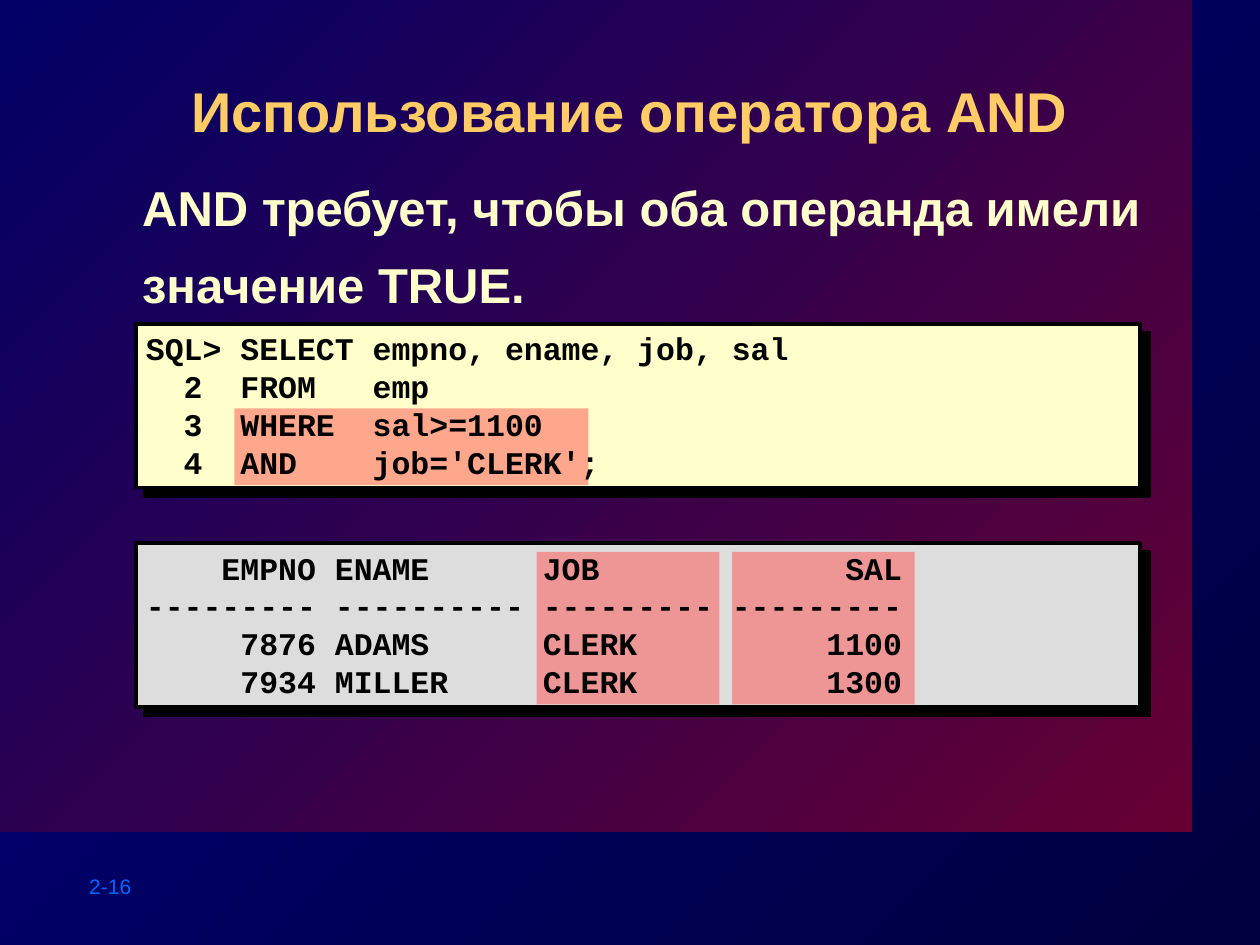
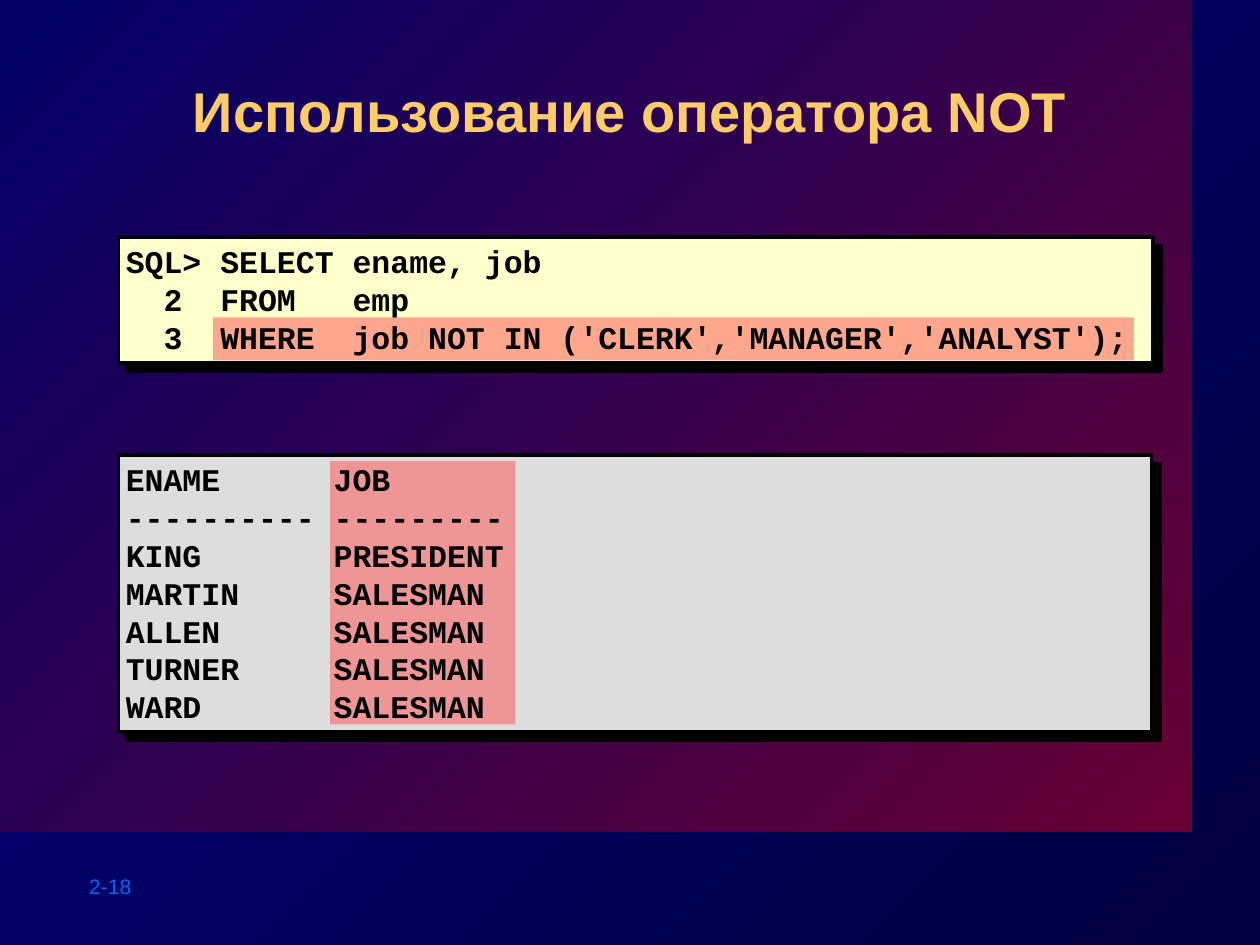
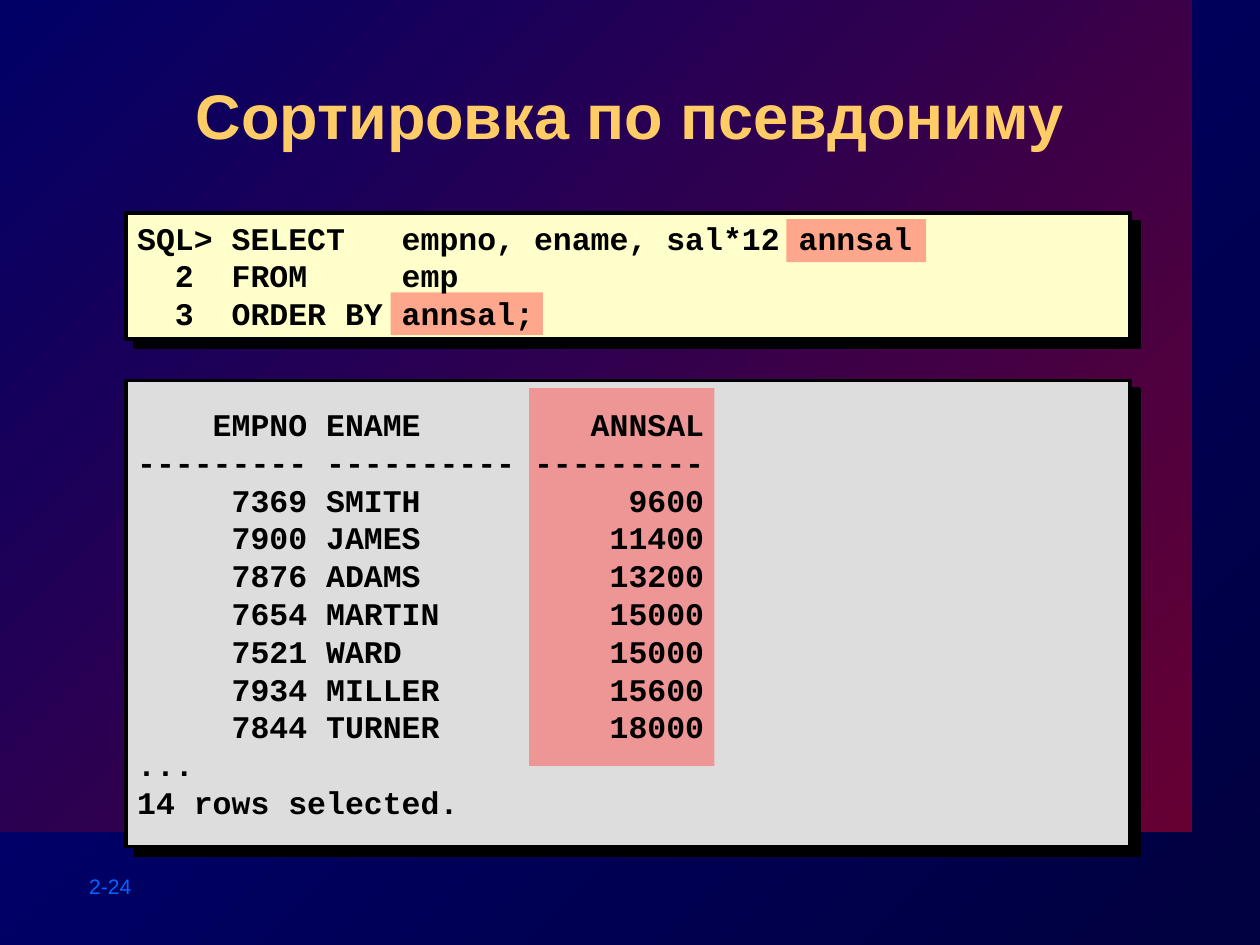
import pptx
import pptx.util
import pptx.dml.color
import pptx.enum.shapes
import pptx.enum.text
import pptx.oxml
import pptx.oxml.ns
from pptx.util import Inches

RGBColor = pptx.dml.color.RGBColor
ANCHOR = pptx.enum.text.MSO_ANCHOR
AUTO_SIZE = pptx.enum.text.MSO_AUTO_SIZE

# Shared colours
BACK_DARK = RGBColor(0x00, 0x00, 0x3F)
BACK_BLUE = RGBColor(0x00, 0x00, 0x80)
PANEL_WINE = RGBColor(0x66, 0x00, 0x33)
PANEL_BLUE = RGBColor(0x00, 0x00, 0x66)
GOLD = RGBColor(0xFF, 0xCC, 0x66)
CREAM = RGBColor(0xFF, 0xFF, 0xCC)
GREY = RGBColor(0xDD, 0xDD, 0xDD)
BLACK = RGBColor(0x00, 0x00, 0x00)
RED = RGBColor(0xFF, 0x50, 0x50)
NUMBER_BLUE = RGBColor(0x00, 0x66, 0xFF)

# Shared text formats
BODY = {"name": "Arial", "size": pptx.util.Pt(28), "bold": True, "color": CREAM}
CODE = {"name": "Courier New", "size": pptx.util.Pt(18), "bold": True, "color": BLACK}
NUMBER = {"name": "Arial", "size": pptx.util.Pt(12), "color": NUMBER_BLUE}


def title_format(size):
    return {"name": "Arial", "size": pptx.util.Pt(size), "bold": True, "color": GOLD}


def set_font(font, text_format):
    for name, value in text_format.items():
        if name == "color":
            font.color.rgb = value
        else:
            setattr(font, name, value)


def set_gradient(fill, start, end):
    """Blend from the lower right corner to the upper left one."""
    fill.gradient()
    fill.gradient_angle = 135
    for stop, color in zip(fill.gradient_stops, (start, end)):
        stop.color.rgb = color


def shadow_effect(distance):
    return pptx.oxml.parse_xml(
        f'<a:effectLst {pptx.oxml.ns.nsdecls("a")}>'
        f'<a:outerShdw blurRad="0" dist="{pptx.util.Pt(distance)}" dir="2700000" algn="ctr">'
        f'<a:srgbClr val="{BLACK}"/></a:outerShdw></a:effectLst>')


def add_rectangle(page, place):
    box = page.shapes.add_shape(
        pptx.enum.shapes.MSO_SHAPE.RECTANGLE, *map(Inches, place))
    box.shadow.inherit = False
    box.line.fill.background()
    return box


def add_text(page, place, lines, text_format, anchor=ANCHOR.TOP):
    box = page.shapes.add_textbox(*map(Inches, place))
    frame = box.text_frame
    frame.word_wrap = False
    frame.vertical_anchor = anchor
    for index, line in enumerate(lines):
        para = frame.add_paragraph() if index else frame.paragraphs[0]
        span = para.add_run()
        span.text = line
        set_font(span.font, text_format)
    return box


def add_page(deck, title, number, title_size=32):
    """Start a slide with its panel, title and page number."""
    page = deck.slides.add_slide(deck.slide_layouts[5])
    heading = page.shapes.title
    panel = add_rectangle(page, (0, 0, 9.46, 6.6))
    set_gradient(panel.fill, PANEL_WINE, PANEL_BLUE)
    heading.element.addprevious(panel.element)

    heading.left, heading.top = Inches(1.01), Inches(0.56)
    heading.width, heading.height = Inches(7.98), Inches(0.96)
    frame = heading.text_frame
    frame.vertical_anchor = ANCHOR.TOP
    frame.auto_size = AUTO_SIZE.NONE
    para = frame.paragraphs[0]
    para.alignment = pptx.enum.text.PP_ALIGN.CENTER
    span = para.add_run()
    span.text = title
    set_font(span.font, title_format(title_size))
    text_fill = span.font.fill._xPr.find(pptx.oxml.ns.qn("a:solidFill"))
    text_fill.addnext(shadow_effect(3))

    add_text(page, (0.61, 6.88, 1.11, 0.3), [number], NUMBER)
    return page


def add_body(page, place, lines):
    box = add_text(page, place, lines, BODY)
    box.text_frame.auto_size = AUTO_SIZE.SHAPE_TO_FIT_TEXT
    for index, para in enumerate(box.text_frame.paragraphs):
        para.line_spacing = 0.95
        if index:
            para.space_before = pptx.util.Pt(12.2)


def add_highlight(page, place):
    mark = add_rectangle(page, place)
    mark.fill.solid()
    mark.fill.fore_color.rgb = RED
    color = mark.element.spPr.find(".//" + pptx.oxml.ns.qn("a:srgbClr"))
    color.append(pptx.oxml.parse_xml(
        f'<a:alpha {pptx.oxml.ns.nsdecls("a")} val="50000"/>'))


def add_listing(page, place, color, text_left, lines, highlights):
    """Draw a shadowed box, its highlights and the code above them."""
    box = add_rectangle(page, place)
    box.fill.solid()
    box.fill.fore_color.rgb = color
    box.line.color.rgb = BLACK
    box.line.width = pptx.util.Pt(2)
    properties = box.element.spPr
    properties.replace(
        properties.find(pptx.oxml.ns.qn("a:effectLst")), shadow_effect(7.1))
    for highlight in highlights:
        add_highlight(page, highlight)
    left, top, width, height = place
    add_text(page, (text_left, top - 0.02, width + 0.03, height + 0.03),
             lines, CODE, ANCHOR.MIDDLE)


def add_and_page(deck):
    page = add_page(deck, "Использование оператора AND", "2-16")
    add_body(page, (1.03, 1.39, 8.18, 1.16),
             ["AND требует, чтобы оба операнда имели", "значение TRUE."])
    add_listing(page, (1.08, 2.57, 7.97, 1.3), CREAM, 1.06, [
        "SQL> SELECT empno, ename, job, sal",
        "  2  FROM   emp",
        "  3  WHERE  sal>=1100",
        "  4  AND    job='CLERK';",
    ], [(1.86, 3.24, 2.81, 0.61)])
    add_listing(page, (1.08, 4.31, 7.97, 1.3), GREY, 1.06, [
        "    EMPNO ENAME      JOB             SAL",
        "--------- ---------- --------- ---------",
        "     7876 ADAMS      CLERK          1100",
        "     7934 MILLER     CLERK          1300",
    ], [(left, 4.38, 1.45, 1.21) for left in (4.26, 5.81)])


def add_not_page(deck):
    page = add_page(deck, "Использование оператора NOT", "2-18")
    add_listing(page, (0.94, 1.88, 8.21, 1), CREAM, 0.9, [
        "SQL> SELECT ename, job",
        "  2  FROM   emp",
        "  3  WHERE  job NOT IN ('CLERK','MANAGER','ANALYST');",
    ], [(1.69, 2.52, 7.31, 0.34)])
    add_listing(page, (0.94, 3.61, 8.2, 2.2), GREY, 0.9, [
        "ENAME      JOB",
        "---------- ---------",
        "KING       PRESIDENT",
        "MARTIN     SALESMAN",
        "ALLEN      SALESMAN",
        "TURNER     SALESMAN",
        "WARD       SALESMAN",
    ], [(2.62, 3.66, 1.47, 2.09)])


def add_sort_page(deck):
    page = add_page(deck, "Сортировка по псевдониму", "2-24", title_size=36)
    add_listing(page, (1, 1.69, 7.97, 1), CREAM, 0.99, [
        "SQL> SELECT   empno, ename, sal*12 annsal",
        "  2  FROM     emp",
        "  3  ORDER BY annsal;",
    ], [(3.1, 2.32, 1.21, 0.34), (6.24, 1.74, 1.11, 0.34)])
    add_listing(page, (1, 3.02, 7.97, 3.7), GREY, 0.99, [
        "    EMPNO ENAME         ANNSAL",
        "--------- ---------- ---------",
        "     7369 SMITH           9600",
        "     7900 JAMES          11400",
        "     7876 ADAMS          13200",
        "     7654 MARTIN         15000",
        "     7521 WARD           15000",
        "     7934 MILLER         15600",
        "     7844 TURNER         18000",
        "...",
        "14 rows selected.",
    ], [(4.2, 3.08, 1.47, 3)])


def main():
    deck = pptx.Presentation()
    deck.slide_width, deck.slide_height = Inches(10), Inches(7.5)
    set_gradient(deck.slide_master.background.fill, BACK_DARK, BACK_BLUE)
    add_and_page(deck)
    add_not_page(deck)
    add_sort_page(deck)
    deck.save("out.pptx")


if __name__ == "__main__":
    main()
